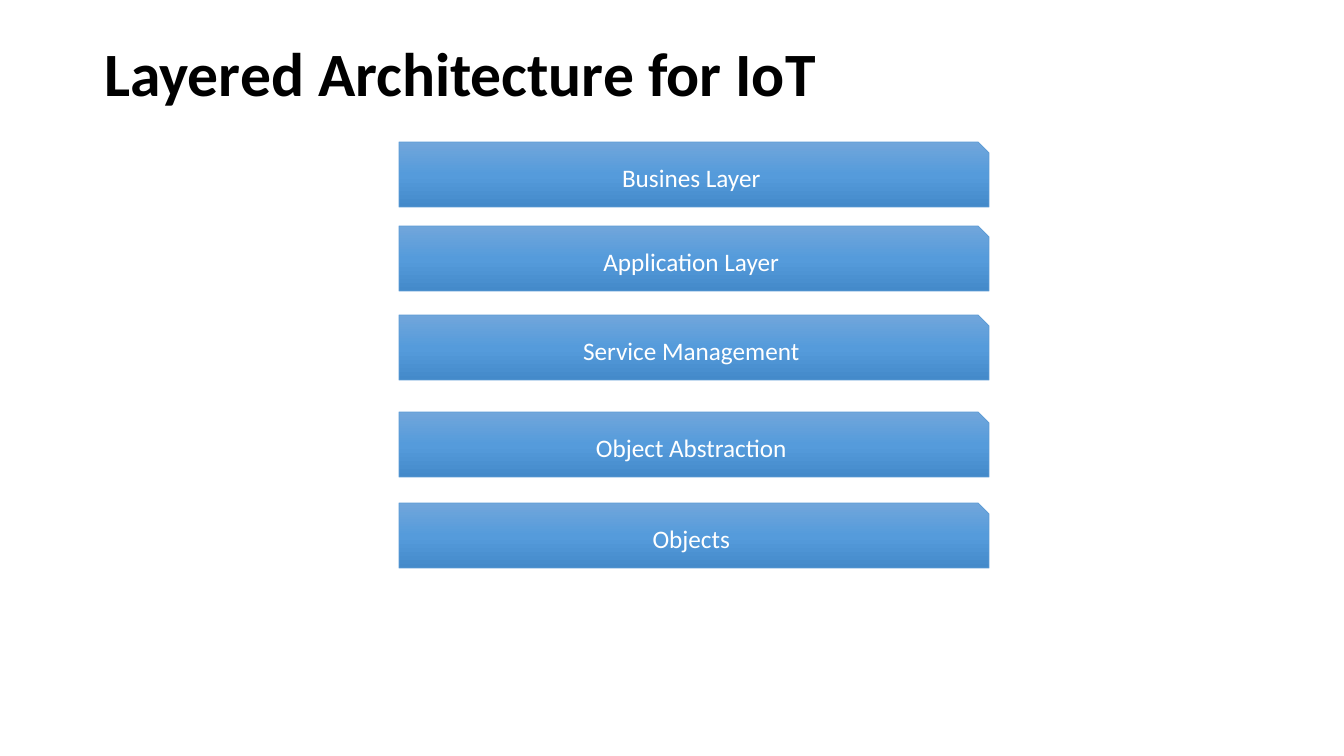
from copy import deepcopy

from pptx import Presentation
from pptx import util as u
from pptx.dml.color import RGBColor
from pptx.enum import shapes, text
from pptx.oxml.ns import qn

PX = 914400 / 100.8  # EMU per px

LAYERS = [
    ("Busines Layer", 142),
    ("Application Layer", 226),
    ("Service Management", 315),
    ("Object Abstraction", 412),
    ("Objects", 503),
]
GRADIENT = [(0, "71A6DB"), (0.5, "559BDB"), (1, "448ACA")]
TITLE_FONT = {"name": "Calibri", "size": u.Pt(44), "bold": True}
LAYER_FONT = {"name": "Calibri", "size": u.Pt(18), "bold": False}


def px(n):
    return u.Emu(round(n * PX))


def rgb(value):
    return RGBColor.from_string(value)


def write(tf, words, font, color, align):
    tf.word_wrap = True
    tf.auto_size = text.MSO_AUTO_SIZE.NONE
    tf.vertical_anchor = text.MSO_ANCHOR.MIDDLE
    p = tf.paragraphs[0]
    p.alignment = align
    r = p.add_run()
    r.text = words
    for name, value in font.items():
        setattr(r.font, name, value)
    r.font.color.rgb = rgb(color)
    return p


def fill_gradient(s):
    s.fill.gradient()
    s.fill.gradient_angle = 270
    # The default gradient has two stops; add the middle one
    stops = s.element.spPr.find(".//" + qn("a:gsLst"))
    stops.insert(1, deepcopy(stops[0]))
    for stop, (position, color) in zip(s.fill.gradient_stops, GRADIENT):
        stop.position = position
        stop.color.rgb = rgb(color)


def add_title(slide, x, y, w, h):
    title = slide.shapes.title
    box = {"left": x, "top": y, "width": w, "height": h}
    for name, value in box.items():
        setattr(title, name, px(value))
    p = write(title.text_frame, "Layered Architecture for IoT",
              TITLE_FONT, "000000", text.PP_ALIGN.LEFT)
    p.line_spacing = 0.9


def add_layer(slide, words, x, y, w, h):
    s = slide.shapes.add_shape(shapes.MSO_SHAPE.SNIP_1_RECTANGLE,
                               px(x), px(y), px(w), px(h))
    s.shadow.inherit = False
    fill_gradient(s)
    s.line.color.rgb = rgb("5B9BD5")
    s.line.width = u.Pt(0.5)
    write(s.text_frame, words, LAYER_FONT, "FFFFFF", text.PP_ALIGN.CENTER)


def main():
    prs = Presentation()
    prs.slide_width, prs.slide_height = px(1344), px(756)
    slide = prs.slides.add_slide(prs.slide_layouts[5])

    # Heading
    add_title(slide, 94, 4, 1159, 146)

    # Stack of layers
    for words, top in LAYERS:
        add_layer(slide, words, 399, top, 590, 65)

    prs.save("out.pptx")


if __name__ == "__main__":
    main()
